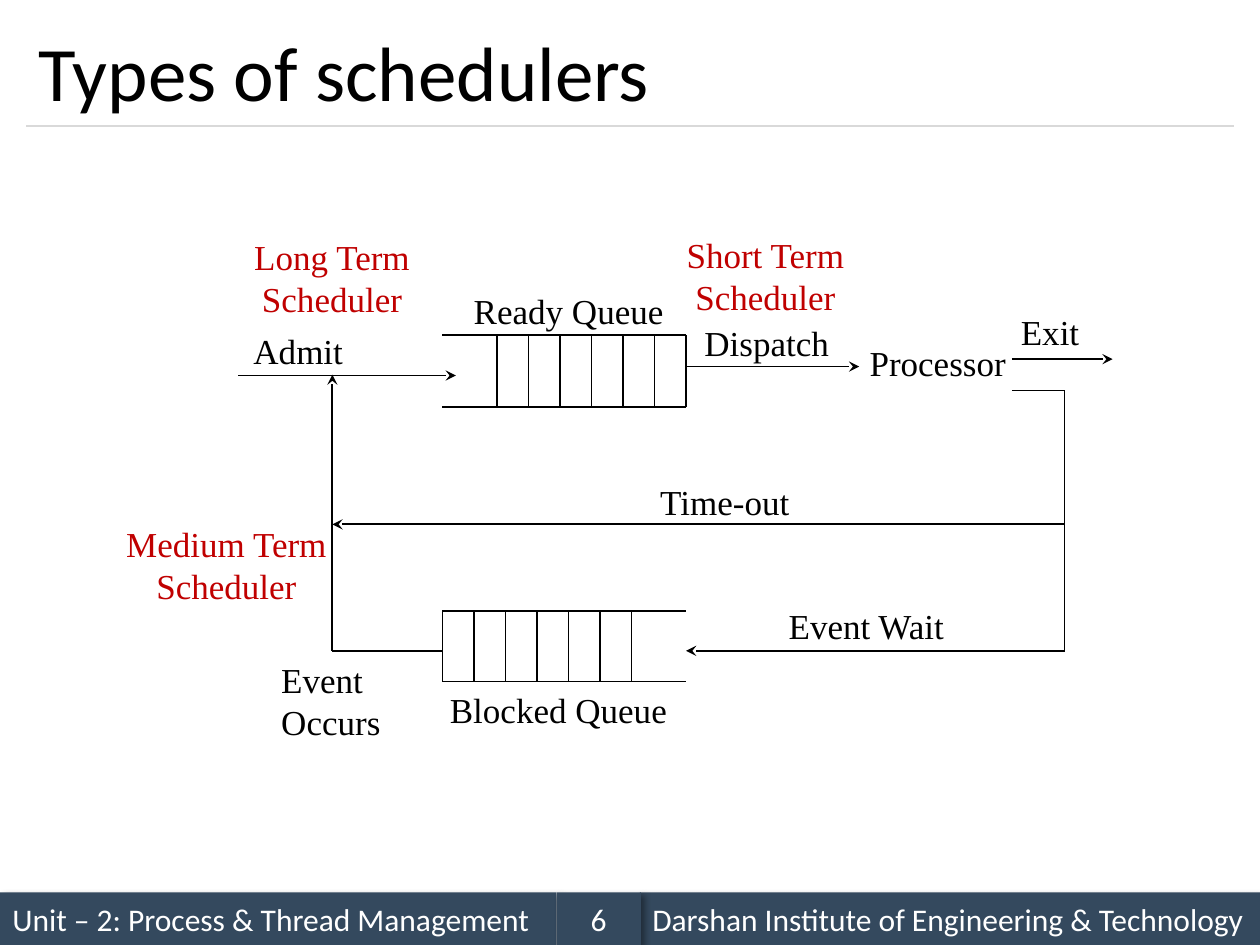
from dataclasses import dataclass

from lxml.etree import SubElement
from pptx import Presentation
from pptx.dml.color import RGBColor
from pptx.enum.shapes import MSO_CONNECTOR as Link, MSO_SHAPE as Form
from pptx.enum.text import MSO_ANCHOR as Anchor, MSO_AUTO_SIZE as Fit, PP_ALIGN as Align
from pptx.oxml import parse_xml
from pptx.oxml.ns import nsdecls, qn
from pptx.util import Cm, Pt

BLACK = RGBColor(0x00, 0x00, 0x00)
WHITE = RGBColor(0xFF, 0xFF, 0xFF)
RED = RGBColor(0xC0, 0x00, 0x00)
SLATE = RGBColor(0x34, 0x49, 0x5E)
GREY = RGBColor(0xD9, 0xD9, 0xD9)

SERIF = {"name": "Times New Roman", "size": Pt(20)}
SANS = {"name": "Calibri", "size": Pt(18)}
HEAD = {"name": "Calibri", "size": Pt(44)}
PADS = {"margin_left": Cm(0.18), "margin_right": Cm(0.18),
        "margin_top": Cm(0.1), "margin_bottom": Cm(0.1)}

SHADOW = (f'<a:effectLst {nsdecls("a")}><a:outerShdw blurRad="50800" dist="38100" '
          'dir="2700000" algn="tl"><a:srgbClr val="000000"><a:alpha val="40000"/>'
          '</a:srgbClr></a:outerShdw></a:effectLst>')

# Shared positions of the flow, in cm
BACK, LOOP = 6.7, 21.46       # return path on the left, drop line on the right
OPEN, CLOSED = 8.92, 13.83    # left and right ends of the queues
STEP, CELLS = 0.635, 6
WAIT = 13.12                  # height of the blocked path


@dataclass
class Bar:
    text: str
    left: float
    width: float
    align: Align = Align.LEFT


@dataclass
class Queue:
    closed: float
    open: float
    top: float
    bottom: float


@dataclass
class Flow:
    x1: float
    y1: float
    x2: float
    y2: float
    arrow: bool = True


@dataclass
class Label:
    text: str
    left: float
    top: float
    width: float
    color: RGBColor = BLACK
    align: Align = Align.LEFT


BARS = [
    Bar("Unit – 2: Process & Thread Management", 0, 11.22),
    Bar("Darshan Institute of Engineering & Technology", 12.9, 12.5),
    Bar("6", 11.22, 1.7, Align.CENTER),
]
QUEUES = [
    Queue(OPEN, CLOSED, 12.32, 13.74),
    Queue(CLOSED, OPEN, 6.76, 8.2),
]
FLOWS = [
    Flow(4.8, 7.57, 9.19, 7.57),
    Flow(CLOSED, 7.39, 17.32, 7.39),
    Flow(20.4, 7.24, 22.43, 7.24),
    Flow(OPEN, WAIT, BACK, WAIT, False),
    Flow(BACK, WAIT, BACK, 7.55),
    Flow(20.4, 7.87, LOOP, 7.87, False),
    Flow(LOOP, 7.87, LOOP, WAIT, False),
    Flow(LOOP, WAIT, CLOSED, WAIT),
    Flow(LOOP, 10.57, BACK, 10.57),
]
LABELS = [
    Label("Admit", 4.93, 6.55, 2.21),
    Label("Ready Queue", 9.37, 5.74, 4.24),
    Label("Dispatch", 14.02, 6.38, 2.92),
    Label("Time-out", 13.13, 9.58, 3),
    Label("Event Wait", 15.72, 12.09, 3.53),
    Label("Exit", 20.4, 6.15, 1.57),
    Label("Processor", 17.35, 6.78, 3.15),
    Label("Blocked Queue", 8.89, 13.77, 4.8),
    Label("Event\nOccurs", 5.49, 13.18, 2.39),
    Label("Long Term\nScheduler", 4.93, 4.65, 3.53, RED, Align.CENTER),
    Label("Short Term\nScheduler", 13.64, 4.6, 3.58, RED, Align.CENTER),
    Label("Medium Term\nScheduler", 2.34, 10.44, 4.45, RED, Align.CENTER),
]


def style(frame, text: str, look: dict, color: RGBColor, align: Align) -> None:
    """Fill a text frame and format all its paragraphs alike."""
    frame.text = text
    for para in frame.paragraphs:
        para.alignment = align
        for key, value in look.items():
            setattr(para.font, key, value)
        para.font.color.rgb = color


def draw_line(shapes, flow: Flow, color: RGBColor = BLACK, width: float = 1) -> None:
    ends = [Cm(n) for n in (flow.x1, flow.y1, flow.x2, flow.y2)]
    link = shapes.add_connector(Link.STRAIGHT, *ends)
    link.line.color.rgb = color
    link.line.width = Pt(width)
    props = link._element.spPr
    if flow.arrow:
        SubElement(props.find(qn("a:ln")), qn("a:tailEnd"), type="stealth")
    SubElement(props, qn("a:effectLst"))


def draw_queue(shapes, queue: Queue) -> None:
    """Draw two rails and, from the closed end, evenly spaced cell walls."""
    group = shapes.add_group_shape().shapes
    for y in (queue.top, queue.bottom):
        draw_line(group, Flow(queue.closed, y, queue.open, y, False))
    step = STEP if queue.open > queue.closed else -STEP
    for i in range(CELLS + 1):
        x = queue.closed + i * step
        draw_line(group, Flow(x, queue.top, x, queue.bottom, False))


def draw_bar(shapes, bar: Bar) -> None:
    box = shapes.add_shape(Form.RECTANGLE, Cm(bar.left), Cm(17.99), Cm(bar.width), Cm(1.06))
    box.fill.solid()
    box.fill.fore_color.rgb = SLATE
    box.line.fill.background()
    box._element.spPr.append(parse_xml(SHADOW))
    box.text_frame.vertical_anchor = Anchor.MIDDLE
    style(box.text_frame, bar.text, SANS, WHITE, bar.align)


def draw_label(shapes, label: Label) -> None:
    high = 1.9 if "\n" in label.text else 1.04
    box = shapes.add_textbox(Cm(label.left), Cm(label.top), Cm(label.width), Cm(high))
    frame = box.text_frame
    for key, value in {**PADS, "word_wrap": False, "auto_size": Fit.SHAPE_TO_FIT_TEXT}.items():
        setattr(frame, key, value)
    style(frame, label.text, SERIF, label.color, label.align)


def main() -> None:
    deck = Presentation()
    deck.slide_width, deck.slide_height = Cm(25.4), Cm(19.05)
    shapes = deck.slides.add_slide(deck.slide_layouts[5]).shapes

    title = shapes.title
    spot = {"left": Cm(0.53), "top": Cm(0.3), "width": Cm(24.34), "height": Cm(2.24)}
    for key, value in spot.items():
        setattr(title, key, value)
    title.text_frame.vertical_anchor = Anchor.MIDDLE
    style(title.text_frame, "Types of schedulers", HEAD, BLACK, Align.LEFT)

    draw_line(shapes, Flow(0.53, 2.54, 24.87, 2.54, False), GREY, 0.75)
    for draw, items in ((draw_bar, BARS), (draw_queue, QUEUES),
                        (draw_line, FLOWS), (draw_label, LABELS)):
        for item in items:
            draw(shapes, item)
    deck.save("out.pptx")


if __name__ == "__main__":
    main()
